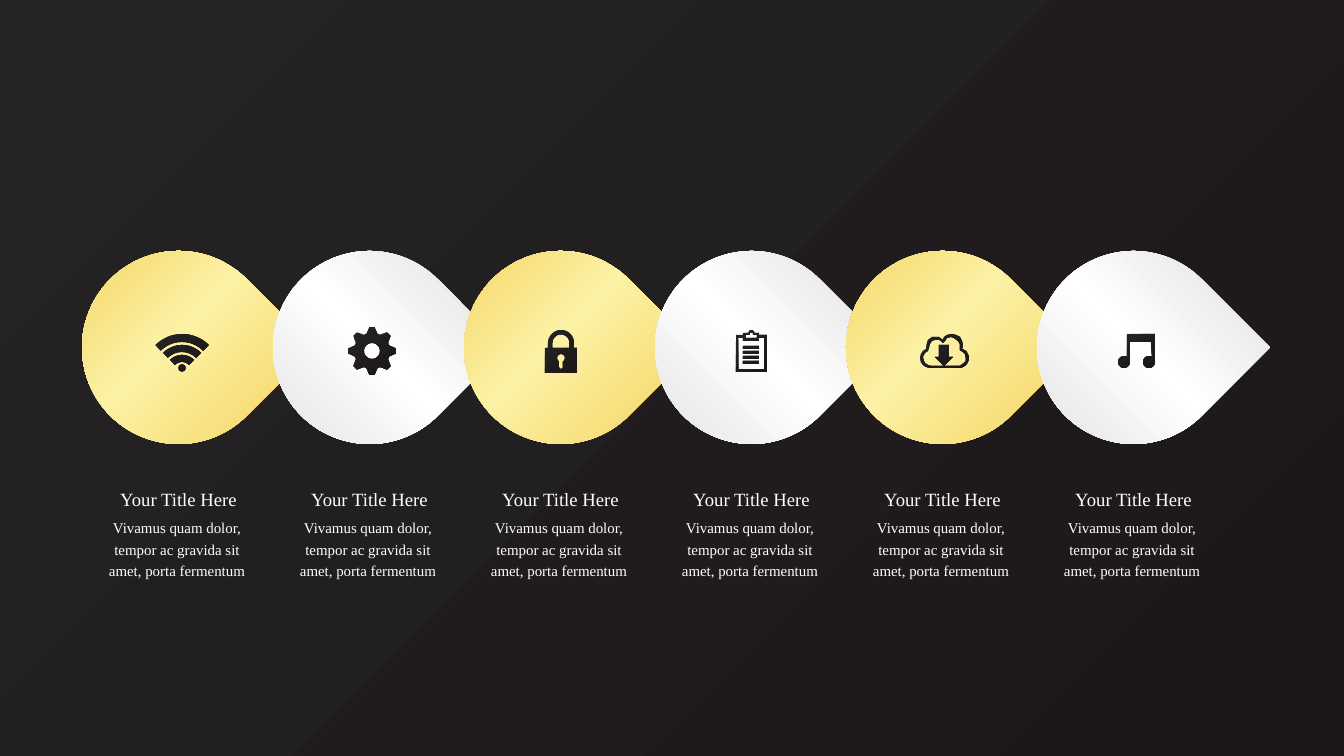
"""Build a slide with a row of six overlapping teardrop steps, icons and captions."""
from math import cos, radians, sin

from lxml import etree
from pptx import Presentation
from pptx.dml.color import RGBColor
from pptx.enum.shapes import MSO_SHAPE as Shape
from pptx.enum.text import MSO_AUTO_SIZE as AutoSize, PP_ALIGN as Align
from pptx.oxml.ns import qn
from pptx.util import Pt

EMU_PER_PIXEL = 914400 / 67.2
COLORS = {"ink": "1C1819", "coal": "252324", "white": "FFFFFF", "silver": "D9D9D9",
          "bronze": "B37E2A", "gold": "F7DE7A", "cream": "FCF2A5"}
DARK = [(0, "ink"), (100, "coal")]
GOLD = [(0, "bronze"), (24, "gold"), (53, "cream"), (77, "gold"), (100, "bronze")]
SILVER = [(0, "silver"), (49, "white"), (100, "silver")]
DROP_STYLES = [(GOLD, 180), (SILVER, 90)]

STEPS = [("Your Title Here",
          "Vivamus quam dolor, tempor ac gravida sit amet, porta fermentum")] * 6
FIRST_LEFT, PITCH = 82, 191
DROP_TOP, DROP_SIZE = 251, 193
TEXT_INDENT = 17
TITLE_FRAME = (480, 159, 32, 20)
BODY_FRAME = (512, 156, 70, 16)

CLOUD_OUTER = [
    (962, 349), (963, 345), (962, 341), (960, 337), (956, 335), (952, 334), (947, 335),
    (944, 337), (943, 340), (939, 337), (936, 337), (932, 337), (928, 340), (927, 343),
    (926, 349), (923, 351), (921, 354), (920, 358), (921, 362), (923, 365), (926, 367),
    (930, 368), (960, 368), (963, 367), (966, 365), (968, 362), (969, 358), (968, 354),
    (966, 351)]
CLOUD_INNER = [
    (931, 366), (928, 365), (925, 363), (924, 361), (923, 357), (925, 353), (928, 351),
    (929, 348), (930, 344), (932, 341), (935, 340), (939, 340), (941, 341), (943, 343),
    (945, 341), (947, 338), (951, 337), (954, 338), (958, 341), (960, 344), (960, 347),
    (960, 350), (963, 352), (965, 354), (966, 358), (966, 361), (964, 363), (960, 366)]
CLOUD_ARROW = [(939, 345), (949, 345), (949, 357), (953, 357), (944, 366), (935, 357),
               (939, 357)]


def px(length):
    return round(length * EMU_PER_PIXEL)


def arc(x, y, radius, start, end, count=24):
    angles = [radians(start + (end - start) * i / count) for i in range(count + 1)]
    return [(x + radius * cos(a), y + radius * sin(a)) for a in angles]


def rectangle(left, top, right, bottom):
    return [(left, top), (right, top), (right, bottom), (left, bottom)]


def wifi_icon():
    bands = [arc(182, 372, outer, 225, 315) + arc(182, 372, inner, 315, 225)
             for outer, inner in [(38, 30), (27, 20), (17, 10)]]
    return bands + [arc(182, 368, 3.5, 0, 360)]


def gear_icon():
    tooth = [(18, -18), (24, -6), (24, 6), (18, 18)]
    rim = [arc(372, 351, radius, 45 * i + turn, 0, 1)[0]
           for i in range(8) for radius, turn in tooth]
    return [rim, arc(372, 351, 8, 0, 360)]


def lock_icon():
    body = [(574, 348), (577, 348), (577, 373), (545, 373), (545, 348), (548, 348)]
    opening = arc(561, 343, 8.5, 180, 360) + [(569.5, 348), (552.5, 348)]
    keyhole = arc(561, 358, 4, 120, 420) + arc(561, 367, 2, 0, 180)
    return [arc(561, 343, 13, 180, 360) + body, opening, keyhole]


def clipboard_icon():
    board = ([(736, 372), (736, 335), (743, 335), (743, 333), (748, 333)]
             + arc(751.5, 333, 3, 180, 360)
             + [(755, 333), (759, 333), (759, 335), (767, 335), (767, 372)])
    sheet = [(759, 338), (759, 341), (743, 341), (743, 338), (738.5, 338),
             (738.5, 369.5), (764.5, 369.5), (764.5, 338)]
    clip = [(746, 338), (746, 335), (750, 335), (750, 333), (753, 333), (753, 335),
            (757, 335), (757, 338)]
    lines = [rectangle(743, top, 759, top + 3) for top in range(346, 362, 5)]
    return [board, sheet, clip] + lines


def music_icon():
    return [arc(1124, 362, 6, -60, -360) + [(1130, 342), (1151, 342)]
            + arc(1149, 362, 6, -60, -360) + [(1155, 334), (1127, 334)]]


def set_gradient(fill, root, stops, angle=None):
    fill.solid()
    fill.fore_color.rgb = RGBColor.from_string(COLORS["ink"])
    solid = next(root.iter(qn("a:solidFill")))
    gradient = etree.Element(qn("a:gradFill"), rotWithShape="1")
    stop_list = etree.SubElement(gradient, qn("a:gsLst"))
    for position, color in stops:
        stop = etree.SubElement(stop_list, qn("a:gs"), pos=str(position * 1000))
        etree.SubElement(stop, qn("a:srgbClr"), val=COLORS[color])
    if angle is None:
        shade = etree.SubElement(gradient, qn("a:path"), path="circle")
        etree.SubElement(shade, qn("a:fillToRect"), l="100000", t="100000")
    else:
        etree.SubElement(gradient, qn("a:lin"), ang=str(angle * 60000), scaled="0")
    solid.getparent().replace(solid, gradient)


def paint(shape, stops, angle=None):
    shape.shadow.inherit = False
    shape.line.fill.background()
    set_gradient(shape.fill, shape._element.spPr, stops, angle)


def add_text(shapes, left, frame, text):
    top, width, height, size = frame
    box = shapes.add_textbox(px(left), px(top), px(width), px(height)).text_frame
    box.word_wrap = True
    box.auto_size = AutoSize.SHAPE_TO_FIT_TEXT
    para = box.paragraphs[0]
    para.text = text
    para.alignment = Align.CENTER
    para.line_spacing = 1.2
    para.font.size = Pt(size)
    para.font.name = "Times New Roman"
    para.font.color.rgb = RGBColor.from_string(COLORS["white"])


def add_icon(shapes, contours):
    outlines = [[(px(x), px(y)) for x, y in contour] for contour in contours]
    builder = shapes.build_freeform(*outlines[0][0], scale=1.0)
    for number, outline in enumerate(outlines):
        if number:
            builder.move_to(*outline[0])
        builder.add_line_segments(outline[1:], close=True)
    paint(builder.convert_to_shape(), DARK)


deck = Presentation()
deck.slide_width, deck.slide_height = px(1344), px(756)
page = deck.slides.add_slide(deck.slide_layouts[6])
set_gradient(page.background.fill, page._element, DARK)
lefts = [FIRST_LEFT + PITCH * i for i in range(len(STEPS))]

for left, (title, body) in zip(lefts, STEPS):
    caption = page.shapes.add_group_shape()
    add_text(caption.shapes, left + TEXT_INDENT, TITLE_FRAME, title)
    add_text(caption.shapes, left + TEXT_INDENT, BODY_FRAME, body)

for i, left in enumerate(lefts):
    drop = page.shapes.add_shape(Shape.TEAR, px(left), px(DROP_TOP),
                                 px(DROP_SIZE), px(DROP_SIZE))
    drop.rotation = 45
    paint(drop, *DROP_STYLES[i % 2])

for contours in (wifi_icon(), gear_icon(), lock_icon(), clipboard_icon(),
                 [CLOUD_OUTER, CLOUD_INNER, CLOUD_ARROW], music_icon()):
    add_icon(page.shapes, contours)

deck.save("out.pptx")
